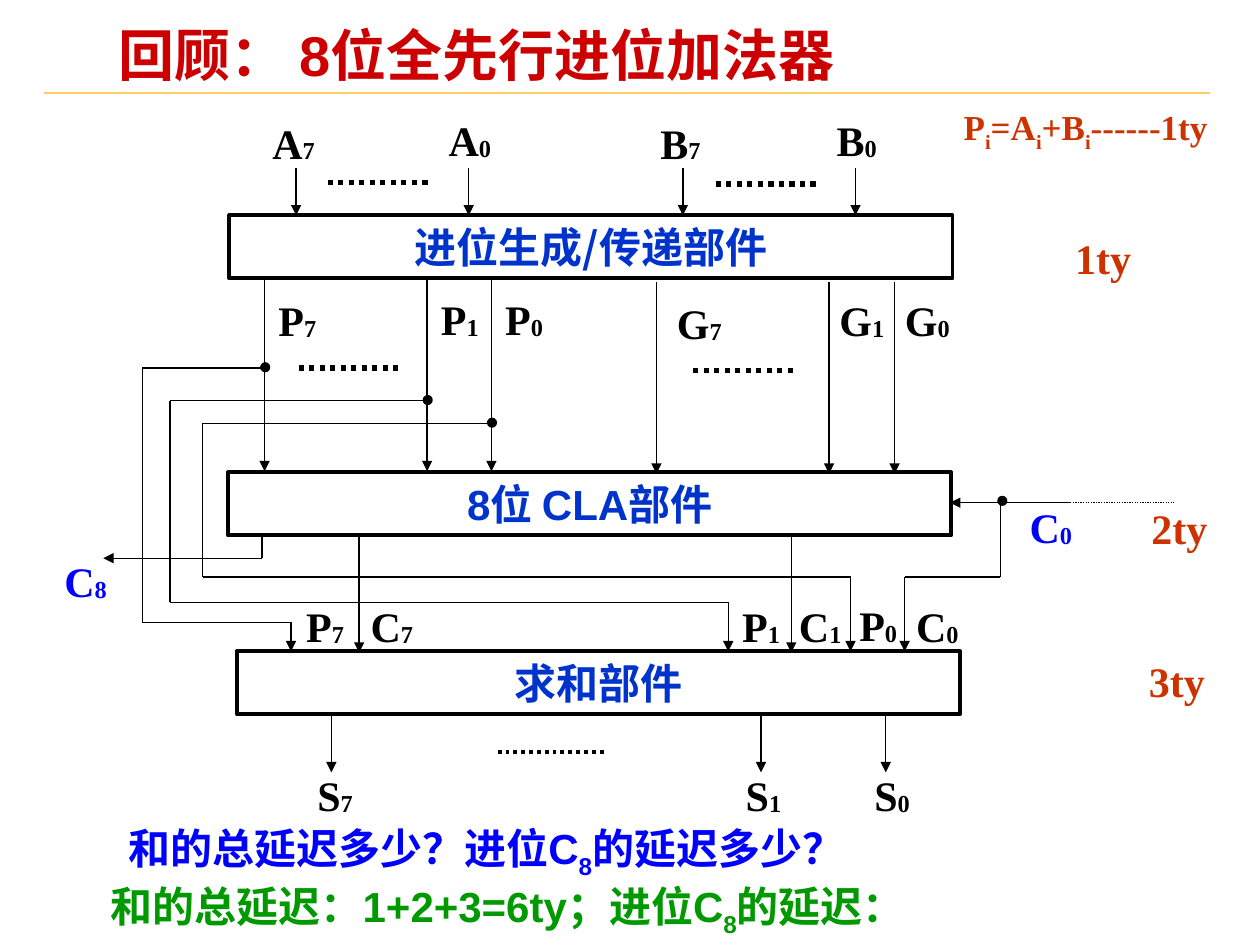
"""Build the slide reviewing the 8-bit carry look-ahead adder."""
import pptx
import pptx.dml.color
import pptx.enum.dml
import pptx.enum.shapes
import pptx.enum.text
import pptx.oxml.ns
import pptx.util
from lxml import etree
from pptx.util import Inches

BLACK, BLUE, ORANGE = "000000", "0000FF", "CC3300"
SERIF, SANS, CHINESE = "Times New Roman", "Arial", "Noto Sans CJK SC"
ALIGN = pptx.enum.text.PP_ALIGN
ANCHOR = pptx.enum.text.MSO_ANCHOR
AUTO_SIZE = pptx.enum.text.MSO_AUTO_SIZE
SHAPE = pptx.enum.shapes.MSO_SHAPE
qn = pptx.oxml.ns.qn


def write(shape, text, color, font=SERIF, size=24, baseline=-2000, align=ALIGN.CENTER, spacing=1.0, **frame_format):
    """Fill a shape with bold text in which every second part between underscores is lowered."""
    frame_values = {
        "word_wrap": True,
        "margin_left": Inches(0.1),
        "margin_right": Inches(0.1),
        "margin_top": Inches(0.05),
        "margin_bottom": Inches(0.05),
        "vertical_anchor": ANCHOR.TOP,
        "auto_size": AUTO_SIZE.SHAPE_TO_FIT_TEXT,
        **frame_format,
    }
    for name, value in frame_values.items():
        setattr(shape.text_frame, name, value)
    paragraph = shape.text_frame.paragraphs[0]
    paragraph.alignment = align
    paragraph.line_spacing = spacing
    for index, part in enumerate(text.split("_")):
        if not part:
            continue
        run = paragraph.add_run()
        run.text = part
        for name, value in {"name": font, "size": pptx.util.Pt(size), "bold": True}.items():
            setattr(run.font, name, value)
        run.font.color.rgb = pptx.dml.color.RGBColor.from_string(color)
        properties = run.font._element
        etree.SubElement(properties, qn("a:ea")).set("typeface", CHINESE)
        if index % 2:
            properties.set("baseline", str(baseline))


def draw_line(x1, y1, x2, y2, arrow=False, width=0.75, color=BLACK, dotted=False):
    """Draw a straight line, optionally dotted or with an arrowhead at its end."""
    connector = slide.shapes.add_connector(
        pptx.enum.shapes.MSO_CONNECTOR.STRAIGHT, Inches(x1), Inches(y1), Inches(x2), Inches(y2))
    connector.line.width = pptx.util.Pt(width)
    connector.line.color.rgb = pptx.dml.color.RGBColor.from_string(color)
    if dotted:
        connector.line.dash_style = pptx.enum.dml.MSO_LINE.ROUND_DOT
    if arrow:
        etree.SubElement(connector.line._get_or_add_ln(), qn("a:tailEnd")).set("type", "triangle")
    etree.SubElement(connector._element.spPr, qn("a:effectLst"))


presentation = pptx.Presentation()
presentation.slide_width, presentation.slide_height = Inches(10), Inches(7.5)
slide = presentation.slides.add_slide(presentation.slide_layouts[5])

draw_line(0.35, 0.74, 9.6, 0.74, width=1, color="FFCC66")
title = slide.shapes.title
for name, value in {"left": 0.87, "top": 0.21, "width": 6.64, "height": 0.52}.items():
    setattr(title, name, Inches(value))
write(title, "回顾： 8位全先行进位加法器", "CC0000", SANS, 32, align=ALIGN.LEFT, spacing=0.87,
      margin_left=Inches(0.07), margin_right=Inches(0.07), margin_top=Inches(0.03),
      margin_bottom=Inches(0.03), vertical_anchor=ANCHOR.MIDDLE, auto_size=AUTO_SIZE.NONE)

units = [
    (1.82, 1.71, "进位生成/传递部件", CHINESE),
    (1.81, 3.75, "8位 CLA部件", SANS),
    (1.88, 5.17, "求和部件", CHINESE),
]
for left, top, text, font in units:
    unit = slide.shapes.add_shape(SHAPE.RECTANGLE, Inches(left), Inches(top), Inches(5.74), Inches(0.5))
    unit.shadow.inherit = False
    unit.fill.background()
    unit.line.color.rgb = pptx.dml.color.RGBColor.from_string(BLACK)
    unit.line.width = pptx.util.Pt(2.25)
    write(unit, text, "0033CC", font, vertical_anchor=ANCHOR.MIDDLE, auto_size=AUTO_SIZE.NONE)

vertical_arrows = [
    (1.33, 1.71, [2.35, 3.72, 5.42, 6.79]),
    (2.22, 3.74, [2.1, 3.39, 3.9]),
    (2.24, 3.76, [5.21, 6.58, 7.1]),
    (4.26, 5.18, [2.85, 6.28]),
    (5.68, 6.13, [2.63, 6.04, 7.03]),
]
for top, bottom, columns in vertical_arrows:
    for x in columns:
        draw_line(x, top, x, bottom, arrow=True)

feedback_routes = [
    (2.1, 2.92, 1.13, 4.94, 2.31),
    (3.39, 3.18, 1.35, 4.78, 5.78),
    (3.9, 3.36, 1.61, 4.58, 6.75),
]
for source, top, rail, bottom, target in feedback_routes:
    draw_line(source, top, rail, top)
    draw_line(rail, top, rail, bottom)
    draw_line(rail, bottom, target, bottom)
    draw_line(target, bottom, target, 5.17, arrow=True)

draw_line(8.49, 3.99, 7.54, 3.99, arrow=True)
draw_line(7.92, 3.99, 9.32, 3.99, dotted=True)
draw_line(7.94, 3.99, 7.94, 4.58)
draw_line(7.94, 4.58, 7.18, 4.58)
draw_line(7.18, 4.58, 7.18, 5.17, arrow=True)
draw_line(2.08, 4.26, 2.08, 4.43)
draw_line(2.08, 4.43, 0.82, 4.43, arrow=True)

for x, y in [(2.6, 1.45), (5.68, 1.46), (2.37, 2.92), (5.5, 2.94)]:
    draw_line(x, y, x + 0.83, y, width=3, dotted=True)
draw_line(3.95, 5.97, 4.79, 5.97, width=2.25, dotted=True)

junctions = [(source, top) for source, top, *_ in feedback_routes] + [(7.95, 3.98)]
for x, y in junctions:
    junction = slide.shapes.add_shape(
        SHAPE.OVAL, Inches(x - 0.03), Inches(y - 0.04), Inches(0.07), Inches(0.07))
    junction.shadow.inherit = False
    junction.fill.solid()
    junction.fill.fore_color.rgb = pptx.dml.color.RGBColor.from_string(BLACK)
    junction.line.color.rgb = pptx.dml.color.RGBColor.from_string(BLACK)
    junction.line.width = pptx.util.Pt(0.75)

signals = [
    ("A_7", 2.03, 0.88), ("A_0", 3.43, 0.86), ("B_7", 5.1, 0.88), ("B_0", 6.5, 0.86),
    ("P_7", 2.06, 2.29), ("P_1", 3.35, 2.28), ("P_0", 3.86, 2.28),
    ("G_7", 5.25, 2.31), ("G_1", 6.54, 2.29), ("G_0", 7.06, 2.29),
    ("P_7", 2.28, 4.72), ("C_7", 2.81, 4.72), ("P_1", 5.74, 4.72),
    ("C_1", 6.21, 4.72), ("P_0", 6.67, 4.71), ("C_0", 7.14, 4.72),
    ("S_7", 2.36, 6.06), ("S_1", 5.76, 6.06), ("S_0", 6.78, 6.06),
]
labels = [(text, left, top, 0.6, 0.5, BLACK, {}) for text, left, top in signals]
question_format = {"font": SANS, "align": ALIGN.LEFT, "baseline": -25000}
labels += [
    ("C_0", 8.04, 3.93, 0.6, 0.5, BLUE, {}),
    ("C_8", 0.38, 4.36, 0.6, 0.5, BLUE, {}),
    ("1ty", 7.82, 1.8, 1.87, 0.5, ORANGE, {}),
    ("2ty", 9.02, 3.94, 0.68, 0.5, ORANGE, {}),
    ("3ty", 9, 5.15, 0.68, 0.5, ORANGE, {}),
    ("P_i_=A_i_+B_i_------1ty", 7.55, 0.79, 2.3, 0.46, ORANGE,
     {"size": 20, "align": ALIGN.LEFT, "baseline": -25000, "spacing": 0.95}),
    ("和的总延迟多少？进位C_8_的延迟多少？", 0.92, 6.48, 7.82, 0.56, BLUE, question_format),
    ("和的总延迟：1+2+3=6ty；进位C_8_的延迟：", 0.78, 6.94, 7.82, 0.56, "009900", question_format),
]
for text, left, top, width, height, color, text_format in labels:
    label = slide.shapes.add_textbox(Inches(left), Inches(top), Inches(width), Inches(height))
    write(label, text, color, **text_format)

presentation.save("out.pptx")
